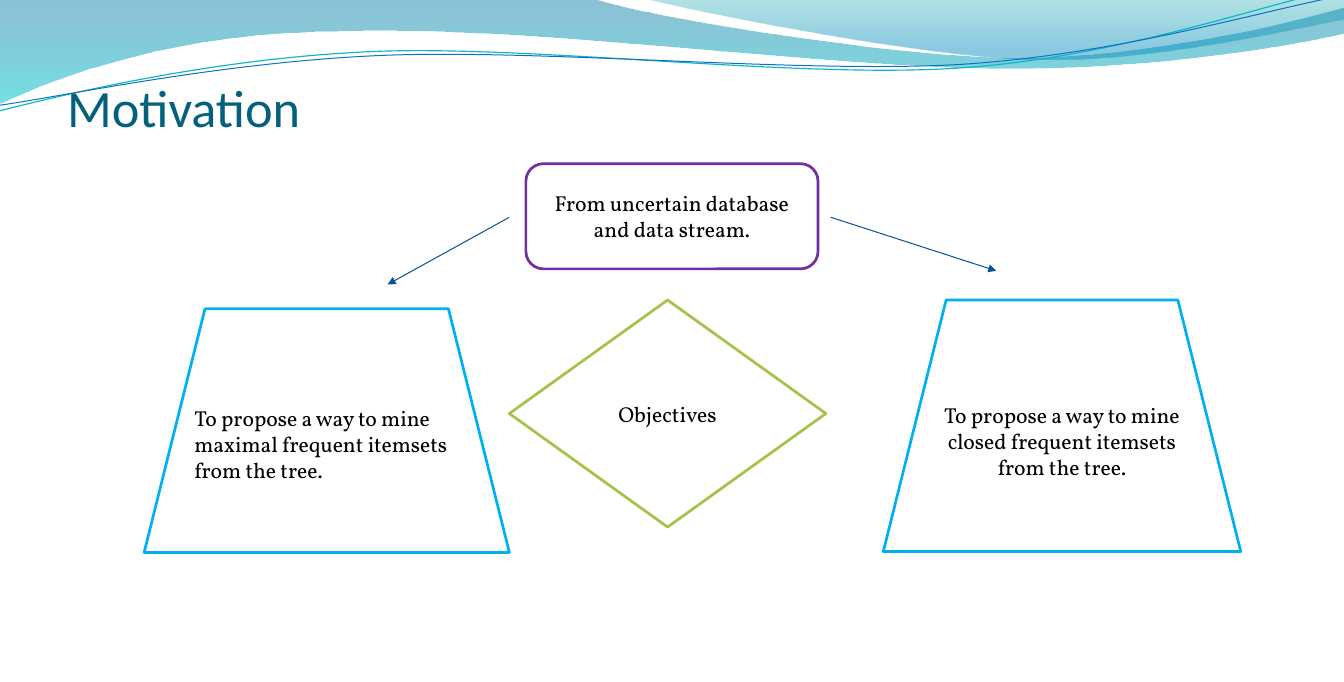
import pptx
import pptx.dml.color
import pptx.enum.shapes
import pptx.enum.text
import pptx.oxml
import pptx.oxml.ns
import pptx.util
from pptx.util import Inches

COLORS = {
    "title": "04617B", "text": "000000", "paper": "FFFFFF", "arrow": "095295",
    "diamond": "A5C249", "trapezoid": "00B0F0", "source": "7030A0",
    "deep": "0074A1", "aqua": "00C6CF", "teal": "00A1A9", "sky": "008BBF",
    "teal line": "0AB8BF", "blue line": "0F6FC6",
}
NAMESPACE = pptx.oxml.ns.nsdecls("a")


def rgb(name):
    return pptx.dml.color.RGBColor.from_string(COLORS[name])


def add_curved_outline(shapes, start, segments, close):
    builder = shapes.build_freeform(Inches(start[0]), Inches(start[1]))
    ends = [(Inches(segment[-2]), Inches(segment[-1])) for segment in segments]
    builder.add_line_segments(ends, close=close)
    outline = builder.convert_to_shape()
    outline.shadow.inherit = False
    for line, segment in zip(outline._element.xpath(".//a:lnTo"), segments):
        if len(segment) == 6:
            points = "".join(
                f'<a:pt x="{Inches(x) - outline.left}" y="{Inches(y) - outline.top}"/>'
                for x, y in zip(segment[::2], segment[1::2]))
            curve = pptx.oxml.parse_xml(
                f"<a:cubicBezTo {NAMESPACE}>{points}</a:cubicBezTo>")
            line.getparent().replace(line, curve)
    return outline


presentation = pptx.Presentation()
presentation.slide_width = Inches(13.8)
presentation.slide_height = Inches(7)
slide = presentation.slides.add_slide(presentation.slide_layouts[5])

bands = [
    ((0, -0.01),
     [(6.08, -0.01), (6.56, 0.16, 9.16, 0.59, 10.47, 0.59),
      (11.77, 0.59, 13.23, 0.24, 13.8, 0.08), (13.81, 0.34),
      (13.57, 0.41, 12, 0.71, 10.29, 0.7), (8.58, 0.7, 5.27, 0.26, 3.55, 0.32),
      (1.78, 0.33, 0.63, 0.77, -0.01, 1.06)],
     [(0, "deep", 45), (1, "aqua", 55)]),
    ((6.61, -0.01),
     [(7.03, 0.1, 9.41, 0.58, 10.61, 0.61), (11.81, 0.64, 13.27, 0.3, 13.8, 0.2),
      (13.8, 0)],
     [(0, "teal", 30), (0.8, "sky", 45)]),
]
for start, segments, stops in bands:
    band = add_curved_outline(slide.shapes, start, segments, True)
    band.line.fill.background()
    band.fill.gradient()
    band.fill.gradient_angle = 270
    for stop, (position, color, opacity) in zip(band.fill.gradient_stops, stops):
        stop.position = position
        stop.color.rgb = rgb(color)
    for color_element, (position, color, opacity) in zip(
            band._element.xpath(".//a:gs/a:srgbClr"), stops):
        color_element.append(pptx.oxml.parse_xml(
            f'<a:alpha {NAMESPACE} val="{opacity * 1000}"/>'))

waves = [
    ((-0.01, 1.14),
     [(0.66, 0.97, 2.18, 0.6, 3.82, 0.53), (5.46, 0.46, 8.17, 0.81, 9.83, 0.7),
      (11.49, 0.59, 12.95, 0.05, 13.78, -0.12)], "teal line", 0.85),
    ((0, 1.08),
     [(0.65, 0.99, 2.26, 0.64, 3.91, 0.57), (5.56, 0.5, 8.24, 0.76, 9.89, 0.66),
      (11.54, 0.55, 12.99, 0.1, 13.81, -0.05)], "blue line", 0.75),
]
for start, segments, color, width in waves:
    wave = add_curved_outline(slide.shapes, start, segments, False)
    wave.fill.background()
    wave.line.color.rgb = rgb(color)
    wave.line.width = pptx.util.Pt(width)

title = slide.shapes.title
slide.shapes._spTree.append(title._element)
title_box = {"left": Inches(0.69), "top": Inches(0.72),
             "width": Inches(12.42), "height": Inches(0.7)}
for name, value in title_box.items():
    setattr(title, name, value)
title.text_frame.text = "Motivation"
title_frame = {"margin_left": 0, "margin_top": Inches(0.04), "margin_right": 0,
               "margin_bottom": 0, "word_wrap": True,
               "auto_size": pptx.enum.text.MSO_AUTO_SIZE.NONE,
               "vertical_anchor": pptx.enum.text.MSO_ANCHOR.BOTTOM}
for name, value in title_frame.items():
    setattr(title.text_frame, name, value)
paragraph = title.text_frame.paragraphs[0]
paragraph.alignment = pptx.enum.text.PP_ALIGN.LEFT
title_font = {"name": "Calibri", "size": pptx.util.Pt(38.7)}
for name, value in title_font.items():
    setattr(paragraph.font, name, value)
paragraph.font.color.rgb = rgb("title")

kinds = pptx.enum.shapes.MSO_SHAPE
align = pptx.enum.text.PP_ALIGN
boxes = [
    (kinds.DIAMOND, (5.23, 3.08, 3.25, 2.33), "diamond", align.CENTER, "Objectives"),
    (kinds.TRAPEZOID, (1.48, 3.17, 3.75, 2.5), "trapezoid", align.LEFT,
     "To propose a way to mine maximal frequent itemsets from the tree."),
    (kinds.TRAPEZOID, (9.07, 3.08, 3.67, 2.58), "trapezoid", align.CENTER,
     "To propose a way to mine closed frequent itemsets from the tree."),
    (kinds.ROUNDED_RECTANGLE, (5.4, 1.68, 3, 1.08), "source", align.CENTER,
     "From uncertain database and data stream."),
]
body_font = {"name": "Vollkorn", "size": pptx.util.Pt(16)}
for kind, bounds, color, alignment, text in boxes:
    shape = slide.shapes.add_shape(kind, *map(Inches, bounds))
    shape.shadow.inherit = False
    shape.fill.solid()
    shape.fill.fore_color.rgb = rgb("paper")
    shape.line.color.rgb = rgb(color)
    shape.line.width = pptx.util.Pt(2)
    shape.text_frame.text = text
    shape.text_frame.word_wrap = True
    shape.text_frame.vertical_anchor = pptx.enum.text.MSO_ANCHOR.MIDDLE
    paragraph = shape.text_frame.paragraphs[0]
    paragraph.alignment = alignment
    for name, value in body_font.items():
        setattr(paragraph.font, name, value)
    paragraph.font.color.rgb = rgb("text")

for ends in [(5.23, 2.23, 3.98, 2.92), (8.53, 2.23, 10.23, 2.78)]:
    arrow = slide.shapes.add_connector(
        pptx.enum.shapes.MSO_CONNECTOR.STRAIGHT, *map(Inches, ends))
    arrow.line.color.rgb = rgb("arrow")
    arrow.line.width = pptx.util.Pt(0.75)
    arrow.line._get_or_add_ln().append(
        pptx.oxml.parse_xml(f'<a:tailEnd {NAMESPACE} type="triangle"/>'))
    arrow._element.spPr.append(pptx.oxml.parse_xml(f"<a:effectLst {NAMESPACE}/>"))

presentation.save("out.pptx")
